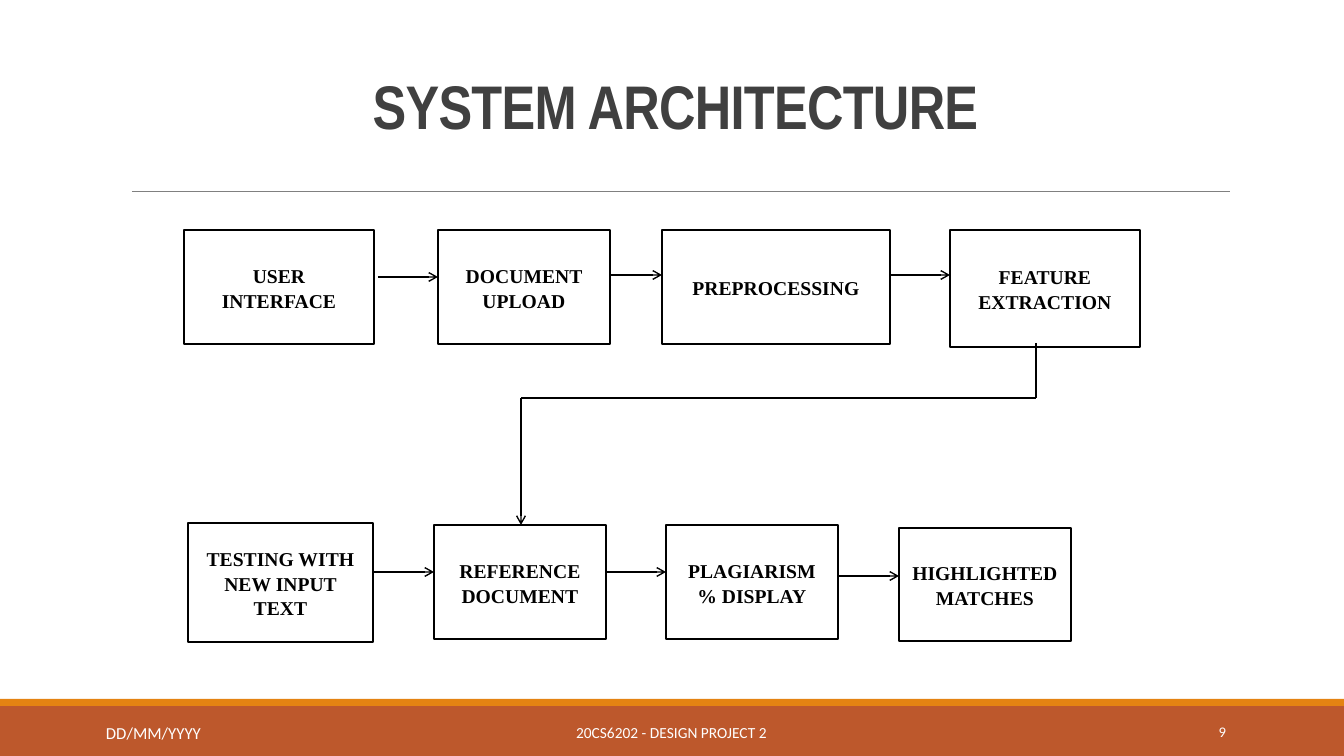
from pptx import Presentation
from pptx.dml.color import RGBColor
from pptx.enum.shapes import MSO_CONNECTOR as Conn, MSO_SHAPE as Kind
from pptx.enum.text import MSO_ANCHOR as Anchor, PP_ALIGN as Align
from pptx.oxml.ns import qn
from pptx.util import Pt
from lxml.etree import SubElement as Sub

BLACK = RGBColor(0x00, 0x00, 0x00)
WHITE = RGBColor(0xFF, 0xFF, 0xFF)
DARK = RGBColor(0x40, 0x40, 0x40)
GREY = RGBColor(0x80, 0x80, 0x80)
RUST = RGBColor(0xBD, 0x58, 0x2C)
AMBER = RGBColor(0xE4, 0x83, 0x12)
WIDE, HIGH = 1344, 756


def px(*nums):
    return [round(n * 914400 / 100.8) for n in nums]


class Board:
    sans, serif, narrow = "Calibri", "Times New Roman", "Arial Narrow"

    def __init__(self, deck):
        self.slide = deck.slides.add_slide(deck.slide_layouts[6])
        self.shapes = self.slide.shapes

    def letter(self, shape, text, size, font, color, align, bold=False, space=1.0):
        frame = shape.text_frame
        frame.word_wrap = True
        frame.vertical_anchor = Anchor.MIDDLE
        frame.text = text
        para = frame.paragraphs[0]
        para.alignment = align
        para.line_spacing = space
        run = para.runs[0]
        run.font.size, run.font.name, run.font.bold = Pt(size), font, bold
        run.font.color.rgb = color
        return run

    def bar(self, area, fill):
        shape = self.shapes.add_shape(Kind.RECTANGLE, *px(*area))
        shape.shadow.inherit = False
        shape.fill.solid()
        shape.fill.fore_color.rgb = fill
        shape.line.fill.background()
        return shape

    def box(self, text, area):
        shape = self.bar(area, WHITE)
        shape.line.color.rgb = BLACK
        shape.line.width = Pt(1.25)
        self.letter(shape, text, 14, self.serif, BLACK, Align.CENTER, True, 1.06)

    def label(self, text, area, size, align):
        shape = self.shapes.add_textbox(*px(*area))
        self.letter(shape, text, size, self.sans, WHITE, align)

    def title(self, text, area):
        shape = self.shapes.add_textbox(*px(*area))
        run = self.letter(shape, text, 44, self.narrow, DARK, Align.CENTER, True, 0.85)
        run._r.get_or_add_rPr().set("spc", "-50")

    def line(self, ends, color=BLACK, width=1, arrow=False):
        link = self.shapes.add_connector(Conn.STRAIGHT, *px(*ends))
        link.line.color.rgb = color
        link.line.width = Pt(width)
        props = link._element.spPr
        if arrow:
            Sub(props.find(qn("a:ln")), qn("a:tailEnd"), type="arrow")
        Sub(props, qn("a:effectLst"))


def main():
    deck = Presentation()
    deck.slide_width, deck.slide_height = px(WIDE, HIGH)
    board = Board(deck)

    # Footer bands, title and rule
    board.bar((0, 706, WIDE, 50), RUST)
    board.bar((0, 699, WIDE, 7), AMBER)
    board.line((132, 191, 1230, 191), GREY, 0.5)
    board.title("SYSTEM ARCHITECTURE", (121, 31, 1109, 160))

    # Footer text
    board.label("20CS6202 - DESIGN PROJECT 2", (406, 712, 531, 40), 11, Align.CENTER)
    board.label("9", (1092, 712, 144, 40), 10.5, Align.RIGHT)
    board.label("DD/MM/YYYY", (96, 717, 261, 31), 12, Align.LEFT)

    # Steps of the upper and lower rows
    steps = [
        ("USER INTERFACE", (184, 230, 190, 114)),
        ("DOCUMENT UPLOAD", (438, 230, 172, 114)),
        ("PREPROCESSING", (662, 230, 228, 114)),
        ("FEATURE EXTRACTION", (950, 230, 190, 117)),
        ("TESTING WITH NEW INPUT TEXT", (188, 523, 185, 119)),
        ("REFERENCE DOCUMENT", (434, 525, 172, 114)),
        ("PLAGIARISM % DISPLAY", (666, 525, 172, 114)),
        ("HIGHLIGHTED MATCHES", (899, 528, 172, 113)),
    ]
    for text, area in steps:
        board.box(text, area)

    # Arrows along the rows: start, end, height
    flows = [(378, 438, 277), (610, 662, 275), (890, 950, 275),
             (374, 434, 572), (606, 666, 572), (838, 899, 576)]
    for start, end, y in flows:
        board.line((start, y, end, y), arrow=True)

    # Bent link from the upper row to the lower row
    bends = [(1036, 343), (1036, 398), (521, 398), (521, 525)]
    for start, end in zip(bends, bends[1:]):
        board.line(start + end, arrow=end == bends[-1])

    deck.save("out.pptx")


if __name__ == "__main__":
    main()
